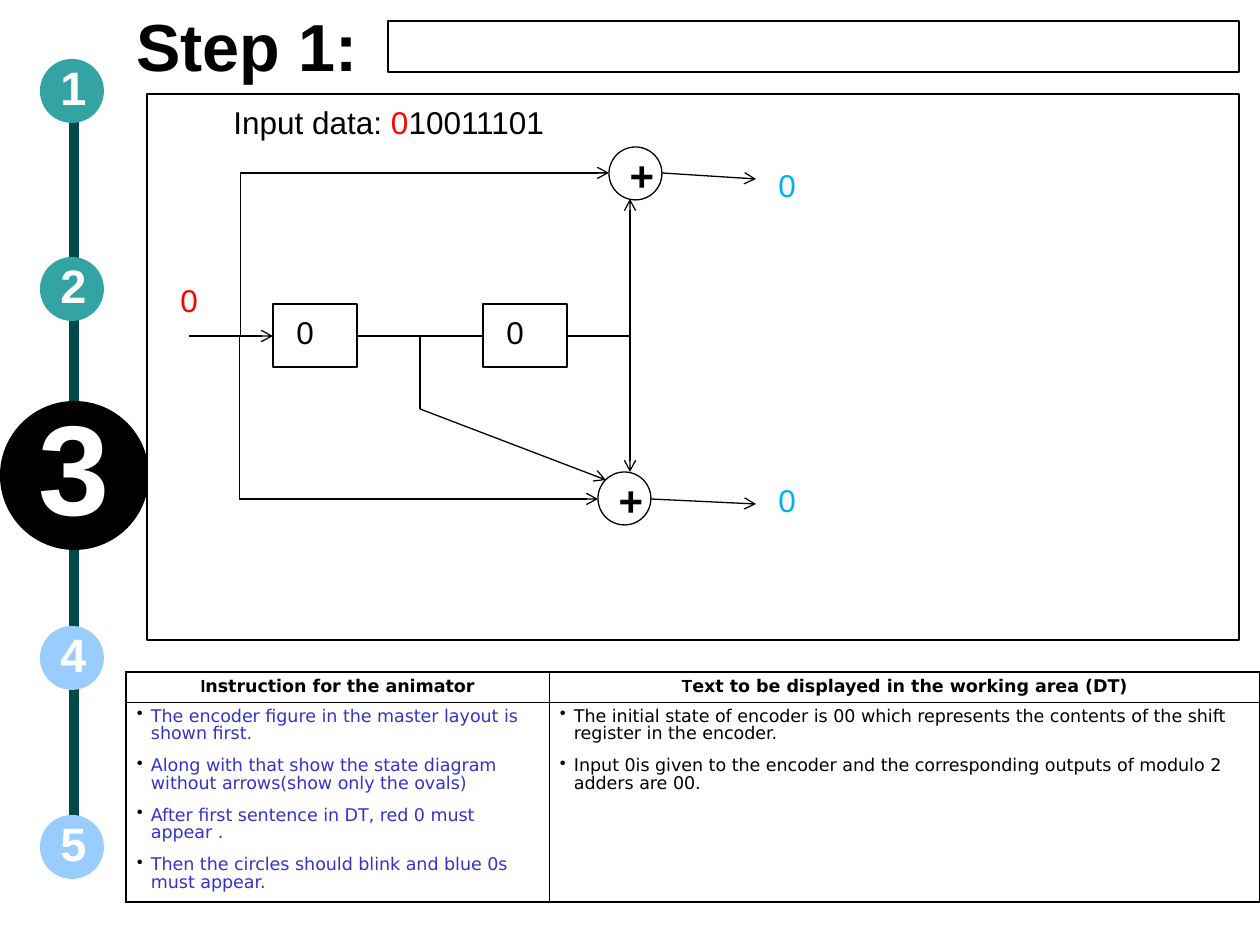
from lxml import etree
from pptx import Presentation
from pptx import util as u
from pptx.dml.color import RGBColor
from pptx.enum import shapes, text
from pptx.oxml import ns

SCALE = u.Inches(1) / 126
BLACK = RGBColor(0x00, 0x00, 0x00)
WHITE = RGBColor(0xFF, 0xFF, 0xFF)
RED = RGBColor(0xFF, 0x00, 0x00)
SKY = RGBColor(0x00, 0xB0, 0xF0)
BLUE = RGBColor(0x33, 0x33, 0xCC)
TEAL = RGBColor(0x33, 0xA3, 0xA3)
PALE = RGBColor(0x99, 0xCC, 0xFF)
DARK = RGBColor(0x00, 0x4A, 0x4A)

KIND = shapes.MSO_SHAPE
ALIGN = text.PP_ALIGN
ANCHOR = text.MSO_ANCHOR

STEPS = [("1", 59, TEAL), ("2", 257, TEAL), ("4", 626, PALE), ("5", 815, PALE)]
WIRES = [
    ((189, 336), (273, 336)),
    ((662, 173), (756, 179)),
    ((420, 409), (606, 480)),
    ((651, 499), (756, 504)),
]
JOINS = [((357, 336), (483, 336)), ((567, 336), (630, 336)), ((420, 336), (420, 409))]
LABELS = [
    ((284, 315, 63, 42), [("0", BLACK)]),
    ((494, 315, 63, 42), [("0", BLACK)]),
    ((221, 105, 399, 42), [("Input data: ", BLACK), ("0", RED), ("10011101", BLACK)]),
    ((168, 283, 63, 42), [("0", RED)]),
    ((766, 168, 63, 42), [("0", SKY)]),
    ((766, 483, 73, 42), [("0", SKY)]),
]
HEADS = ["Instruction for the animator", "Text to be displayed in the working area (DT)"]
NOTES = [
    (BLUE, [
        "The encoder figure in the master layout is shown first.",
        "Along with that show the state diagram without arrows(show only the ovals)",
        "After first sentence in DT, red 0 must appear .",
        "Then the circles should blink and blue 0s must appear.",
    ]),
    (BLACK, [
        "The initial state of encoder is 00 which represents the contents of the "
        "shift register in the encoder.",
        "Input 0is given to the encoder and the corresponding outputs of modulo 2 "
        "adders are 00.",
    ]),
]


def px(*vals):
    return [u.Emu(round(v * SCALE)) for v in vals]


def assign(obj, **vals):
    for name, val in vals.items():
        setattr(obj, name, val)


def node(parent, tag, **attrs):
    """Append a drawing element such as a:ln to parent."""
    item = etree.SubElement(parent, ns.qn(tag))
    for name, val in attrs.items():
        item.set(name, str(val))
    return item


def write(para, word, size, color, bold=False, face="Arial"):
    run = para.add_run()
    run.text = word
    assign(run.font, size=u.Pt(size), bold=bold, name=face)
    run.font.color.rgb = color


def inset(obj, side, top):
    side, top = px(side, top)
    assign(obj, margin_left=side, margin_right=side, margin_top=top, margin_bottom=top)


def draw(slide, kind, box, fill=WHITE, line=BLACK):
    shape = slide.shapes.add_shape(kind, *px(*box))
    shape.shadow.inherit = False
    shape.fill.solid()
    shape.fill.fore_color.rgb = fill
    if line is None:
        shape.line.fill.background()
    else:
        shape.line.color.rgb = line
        shape.line.width = u.Pt(0.75)
    return shape


def disc(slide, box, word, size, fill):
    """Draw a numbered step of the side bar."""
    frame = draw(slide, KIND.OVAL, box, fill, None).text_frame
    assign(frame, word_wrap=True, vertical_anchor=ANCHOR.MIDDLE)
    inset(frame, 11, 5)
    para = frame.paragraphs[0]
    assign(para, alignment=ALIGN.CENTER, line_spacing=0.86)
    write(para, word, size, WHITE, True)


def adder(slide, left, top):
    frame = draw(slide, KIND.OVAL, (left, top, 53, 53)).text_frame
    assign(frame, word_wrap=True, vertical_anchor=ANCHOR.TOP)
    inset(frame, 13, 6)
    para = frame.paragraphs[0]
    assign(para, alignment=ALIGN.LEFT, line_spacing=0.76)
    write(para, "+", 24, BLACK, True)


def label(slide, box, parts):
    frame = slide.shapes.add_textbox(*px(*box)).text_frame
    frame.word_wrap = True
    para = frame.paragraphs[0]
    para.line_spacing = 0.76
    for word, color in parts:
        write(para, word, 18, color)


def wire(slide, start, end, ends=(), bend=None, color=BLACK, width=0.75):
    """Join two points; ends lists headEnd or tailEnd, bend is the elbow's ratio."""
    kind = shapes.MSO_CONNECTOR.STRAIGHT if bend is None else shapes.MSO_CONNECTOR.ELBOW
    link = slide.shapes.add_connector(kind, *px(*start, *end))
    link.line.color.rgb = color
    link.line.width = u.Pt(width)
    props = link._element.spPr
    for tag in ends:
        node(link.line._get_or_add_ln(), f"a:{tag}", type="arrow")
    node(props, "a:effectLst")
    if bend is not None:
        guides = props.find(ns.qn("a:prstGeom")).get_or_add_avLst()
        node(guides, "a:gd", name="adj1", fmla=f"val {bend}")


def edge(cell, row, col):
    """Frame a cell of the two by two table: heavy outside, thin inside."""
    props = cell._tc.get_or_add_tcPr()
    outer = {"L": col == 0, "R": col == 1, "T": row == 0, "B": row == 1}
    for spot, (side, heavy) in enumerate(outer.items()):
        line = node(props, f"a:ln{side}", w=u.Pt(1.08 if heavy else 0.45))
        node(node(line, "a:solidFill"), "a:srgbClr", val=BLACK)
        props.insert(spot, line)


def bullet(para):
    hang = px(14)[0]
    props = para._p.get_or_add_pPr()
    props.set("marL", str(hang))
    props.set("indent", str(-hang))
    node(node(props, "a:buClr"), "a:srgbClr", val=BLACK)
    node(props, "a:buChar", char="•")


def fill_head(frame, words):
    para = frame.paragraphs[0]
    assign(para, alignment=ALIGN.CENTER, line_spacing=0.87)
    write(para, words[0], 10, BLACK, True)
    write(para, words[1:], 10, BLACK, True, "DejaVu Sans")


def fill_list(frame, color, items):
    for spot, item in enumerate(items):
        para = frame.add_paragraph() if spot else frame.paragraphs[0]
        bullet(para)
        assign(para, line_spacing=0.87, space_before=u.Pt(8 if spot else 0))
        write(para, item, 10, color, face="DejaVu Sans")


def script_table(slide):
    table = slide.shapes.add_table(2, 2, *px(126, 672, 1134, 230)).table
    assign(table, first_row=False, horz_banding=False)
    for col, width in zip(table.columns, px(423, 711)):
        col.width = width
    for row, height in zip(table.rows, px(30, 200)):
        row.height = height
    for row in range(2):
        for col in range(2):
            cell = table.cell(row, col)
            cell.fill.background()
            edge(cell, row, col)
            inset(cell, 11, 6)
            cell.vertical_anchor = ANCHOR.TOP if row else ANCHOR.MIDDLE
            if row:
                fill_list(cell.text_frame, *NOTES[col])
            else:
                fill_head(cell.text_frame, HEADS[col])


def heading(slide, words):
    title = slide.shapes.title
    spots = px(136, 10, 252, 84)
    assign(title, **dict(zip(("left", "top", "width", "height"), spots)))
    frame = title.text_frame
    assign(frame, auto_size=text.MSO_AUTO_SIZE.NONE, word_wrap=True,
           vertical_anchor=ANCHOR.TOP)
    inset(frame, 0, 0)
    para = frame.paragraphs[0]
    assign(para, alignment=ALIGN.LEFT, line_spacing=0.96)
    write(para, words, 38, BLACK, True)


def side_bar(slide):
    wire(slide, (74, 77), (74, 872), color=DARK, width=5.67)
    for word, top, fill in STEPS:
        disc(slide, (40, top, 64, 64), word, 26.8, fill)
    disc(slide, (0, 401, 149, 149), "3", 73, BLACK)


def encoder(slide):
    for left in (273, 483):
        draw(slide, KIND.RECTANGLE, (left, 304, 84, 63))
    for start, end in JOINS:
        wire(slide, start, end)
    for start, end in WIRES:
        wire(slide, start, end, ["tailEnd"])
    wire(slide, (630, 199), (630, 472), ["headEnd", "tailEnd"])
    wire(slide, (241, 336), (609, 173), ["tailEnd"], -100)
    wire(slide, (241, 336), (598, 499), ["tailEnd"], -500)
    adder(slide, 609, 147)
    adder(slide, 598, 472)
    for box, parts in LABELS:
        label(slide, box, parts)


def main():
    deck = Presentation()
    assign(deck, slide_width=u.Inches(10), slide_height=u.Inches(7.5))
    slide = deck.slides.add_slide(deck.slide_layouts[5])
    heading(slide, "Step 1:")
    side_bar(slide)
    draw(slide, KIND.ROUNDED_RECTANGLE, (147, 94, 1092, 546)).adjustments[0] = 0
    draw(slide, KIND.RECTANGLE, (388, 21, 851, 51)).fill.background()
    script_table(slide)
    encoder(slide)
    deck.save("out.pptx")


if __name__ == "__main__":
    main()
